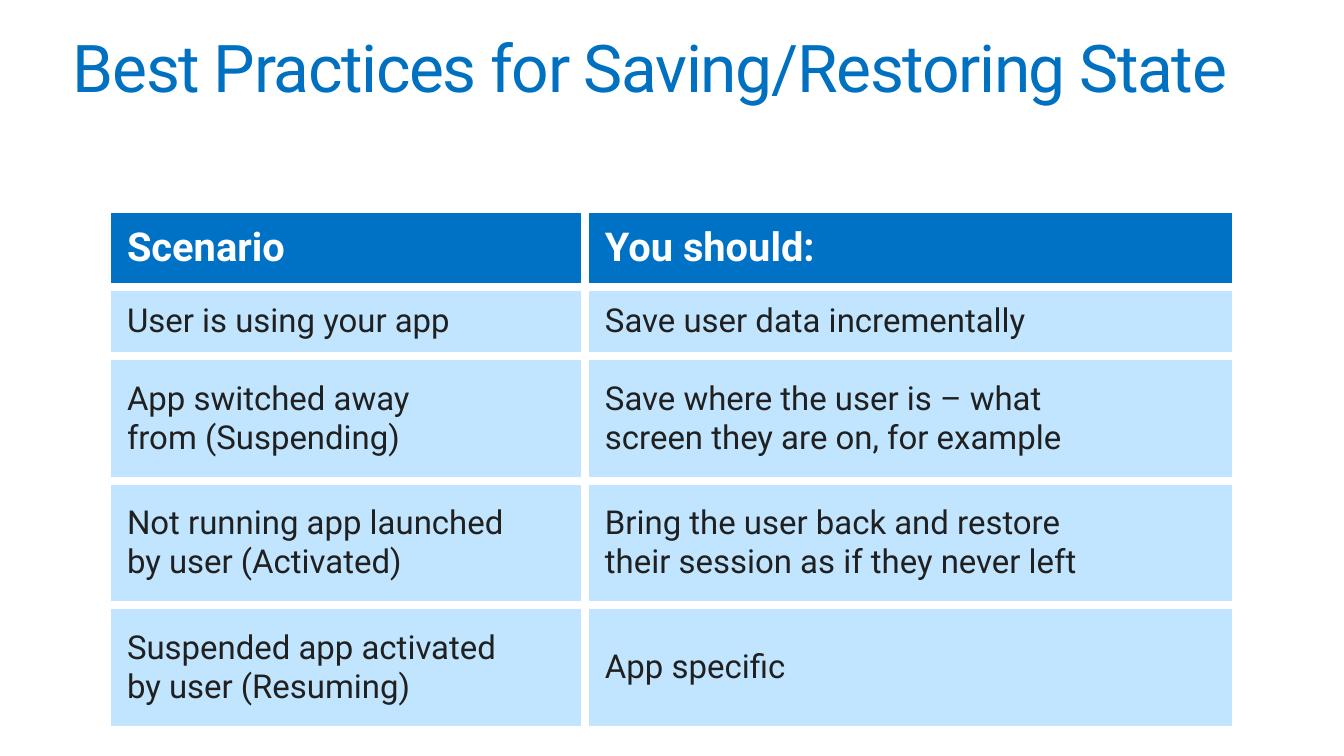
from lxml.etree import SubElement
from pptx import Presentation
from pptx.dml.color import RGBColor
from pptx.enum.text import MSO_ANCHOR, MSO_AUTO_SIZE, PP_ALIGN
from pptx.oxml.ns import qn
from pptx.util import Pt

TITLE = "Best Practices for Saving/Restoring State"
PRACTICES = [
    ("Scenario", "You should:"),
    ("User is using your app", "Save user data incrementally"),
    ("App switched away\nfrom (Suspending)",
     "Save where the user is – what\nscreen they are on, for example"),
    ("Not running app launched\nby user (Activated)",
     "Bring the user back and restore\ntheir session as if they never left"),
    ("Suspended app activated\nby user (Resuming)", "App specific"),
]
COLUMN_WIDTHS = [478, 651]
ROW_HEIGHTS = [78, 69, 125, 124, 125]
FONT = "Roboto"
TITLE_BLUE, HEADER_BLUE, ROW_BLUE = "0070C0", "0072C6", "C1E5FF"
WHITE, DARK = "FFFFFF", "202020"


def px(length):
    return round(length * 914400 / 98.8)


def color(value):
    return RGBColor.from_string(value)


def format_font(font, size, value, bold=False):
    font.name = FONT
    font.size = Pt(size)
    font.bold = bold
    font.color.rgb = color(value)


def set_margins(target, horizontal, vertical):
    target.margin_left = target.margin_right = px(horizontal)
    target.margin_top = target.margin_bottom = px(vertical)


def add_borders(cell, width, value):
    properties = cell._tc.get_or_add_tcPr()
    for side in ("lnL", "lnR", "lnT", "lnB"):
        line = SubElement(properties, qn(f"a:{side}"), w=str(Pt(width)))
        fill = SubElement(line, qn("a:solidFill"))
        SubElement(fill, qn("a:srgbClr"), val=value)


def add_title(slide):
    title = slide.shapes.title
    title.left, title.top = px(57), px(26)
    title.width, title.height = px(1228), px(72)
    frame = title.text_frame
    frame.text = TITLE
    frame.word_wrap = True
    frame.auto_size = MSO_AUTO_SIZE.NONE
    frame.vertical_anchor = MSO_ANCHOR.TOP
    set_margins(frame, 16, 10)
    paragraph = frame.paragraphs[0]
    paragraph.alignment = PP_ALIGN.LEFT
    paragraph.line_spacing = 0.9
    run = paragraph.runs[0]
    format_font(run.font, 48, TITLE_BLUE)
    run.font._element.set("spc", "-100")


def fill_cell(cell, text, is_header):
    add_borders(cell, 6, WHITE)
    cell.fill.solid()
    cell.fill.fore_color.rgb = color(HEADER_BLUE if is_header else ROW_BLUE)
    cell.vertical_anchor = MSO_ANCHOR.MIDDLE
    set_margins(cell, 20, 5)
    paragraph = cell.text_frame.paragraphs[0]
    paragraph.text = text
    for run in paragraph.runs:
        if is_header:
            format_font(run.font, 29, WHITE, True)
        else:
            format_font(run.font, 24, DARK)


def add_practices(slide):
    table = slide.shapes.add_table(
        len(PRACTICES), len(COLUMN_WIDTHS), px(107), px(209),
        px(sum(COLUMN_WIDTHS)), px(sum(ROW_HEIGHTS))).table
    table.horz_banding = False
    for column, width in zip(table.columns, COLUMN_WIDTHS):
        column.width = px(width)
    for index, (row, texts) in enumerate(zip(table.rows, PRACTICES)):
        row.height = px(ROW_HEIGHTS[index])
        for cell, text in zip(row.cells, texts):
            fill_cell(cell, text, index == 0)


def main():
    presentation = Presentation()
    presentation.slide_width, presentation.slide_height = px(1344), px(756)
    slide = presentation.slides.add_slide(presentation.slide_layouts[5])
    add_title(slide)
    add_practices(slide)
    presentation.save("out.pptx")


if __name__ == "__main__":
    main()
